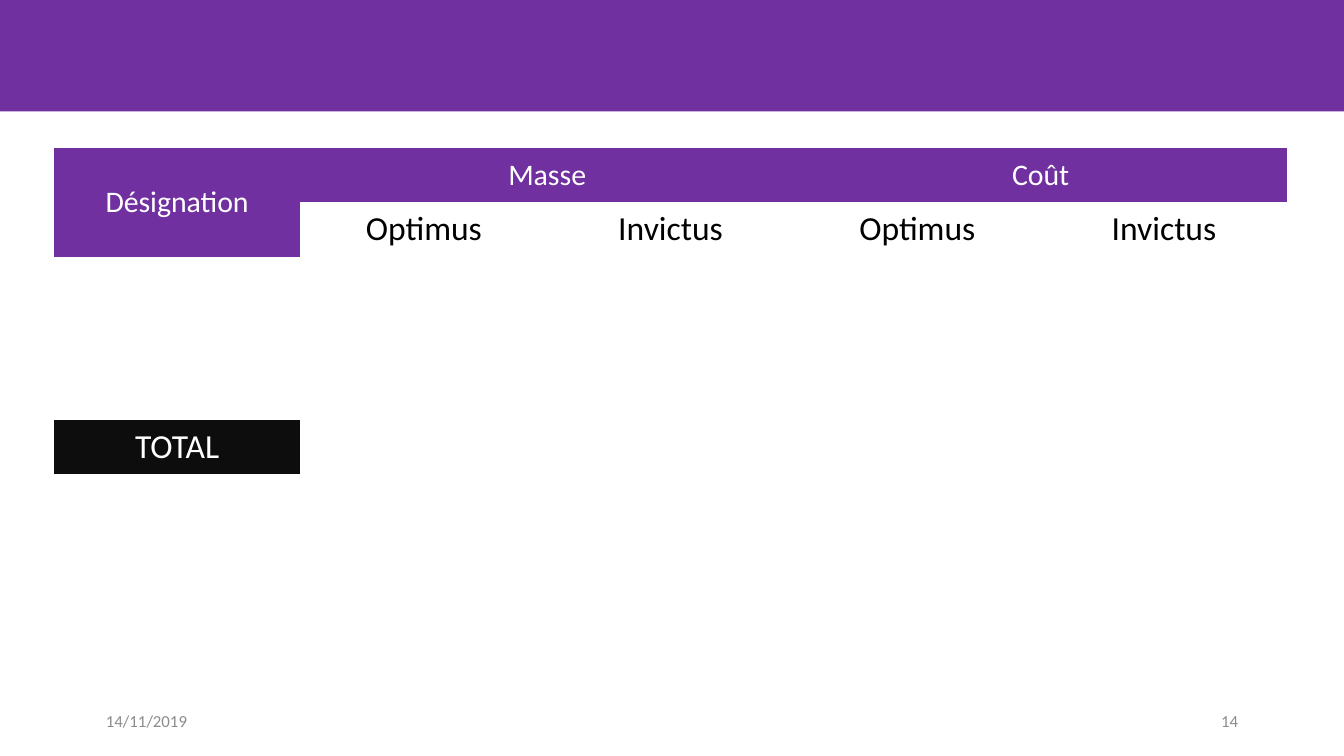
"""Build the mass and cost comparison slide with its summary table."""
from pptx import Presentation
from pptx.dml.color import RGBColor
from pptx.enum.shapes import MSO_SHAPE
from pptx.enum.text import MSO_ANCHOR, PP_ALIGN
from pptx.util import Inches, Pt

PURPLE, BLACK, WHITE, GREY = "7030A0", "0D0D0D", "FFFFFF", "8C8C8C"
NO_GRID_STYLE = "{2D5ABB26-0587-4C30-8999-92F81FD0307C}"
ROWS, COLUMNS = 6, 5


def paint(color_format, hex_color):
    color_format.rgb = RGBColor.from_string(hex_color)


def write(frame, text, size, color, align):
    frame.text = text
    paragraph = frame.paragraphs[0]
    paragraph.alignment = align
    font = paragraph.runs[0].font
    font.name, font.size, font.bold = "Calibri", Pt(size), False
    paint(font.color, color)


prs = Presentation()
prs.slide_width = Inches(10)
prs.slide_height = prs.slide_width * 9 // 16
slide = prs.slides.add_slide(prs.slide_layouts[6])

banner = slide.shapes.add_shape(MSO_SHAPE.RECTANGLE, 0, 0, prs.slide_width, Inches(0.83))
banner.shadow.inherit = False
banner.fill.solid()
paint(banner.fill.fore_color, PURPLE)
banner.line.fill.background()

for left, footer, align in [(0.69, "14/11/2019", PP_ALIGN.LEFT), (7.06, "14", PP_ALIGN.RIGHT)]:
    frame = slide.shapes.add_textbox(Inches(left), Inches(5.21), Inches(2.25), Inches(0.3)).text_frame
    frame.word_wrap = True
    frame.vertical_anchor = MSO_ANCHOR.MIDDLE
    write(frame, footer, 9, GREY, align)

summary = slide.shapes.add_table(
    ROWS, COLUMNS, Inches(0.4), Inches(1.1), Inches(9.18), Inches(2.43)).table
summary.first_row = summary.horz_banding = False
summary._tbl.tblPr[0].text = NO_GRID_STYLE
for cell in summary.iter_cells():
    cell.fill.background()
    cell.vertical_anchor = MSO_ANCHOR.MIDDLE

summary.cell(0, 0).merge(summary.cell(1, 0))
for column in (1, 3):
    summary.cell(0, column).merge(summary.cell(0, column + 1))

entries = [
    (0, 0, "Désignation", 16, WHITE, PURPLE),
    (0, 1, "Masse", 16, WHITE, PURPLE),
    (0, 3, "Coût", 16, WHITE, PURPLE),
    (ROWS - 1, 0, "TOTAL", 18, WHITE, BLACK),
]
entries += [(1, column, name, 18, "000000", None)
            for column, name in enumerate(["Optimus", "Invictus"] * 2, start=1)]
for row, column, text, size, color, fill in entries:
    cell = summary.cell(row, column)
    write(cell.text_frame, text, size, color, PP_ALIGN.CENTER)
    if fill:
        cell.fill.solid()
        paint(cell.fill.fore_color, fill)

prs.save("out.pptx")
